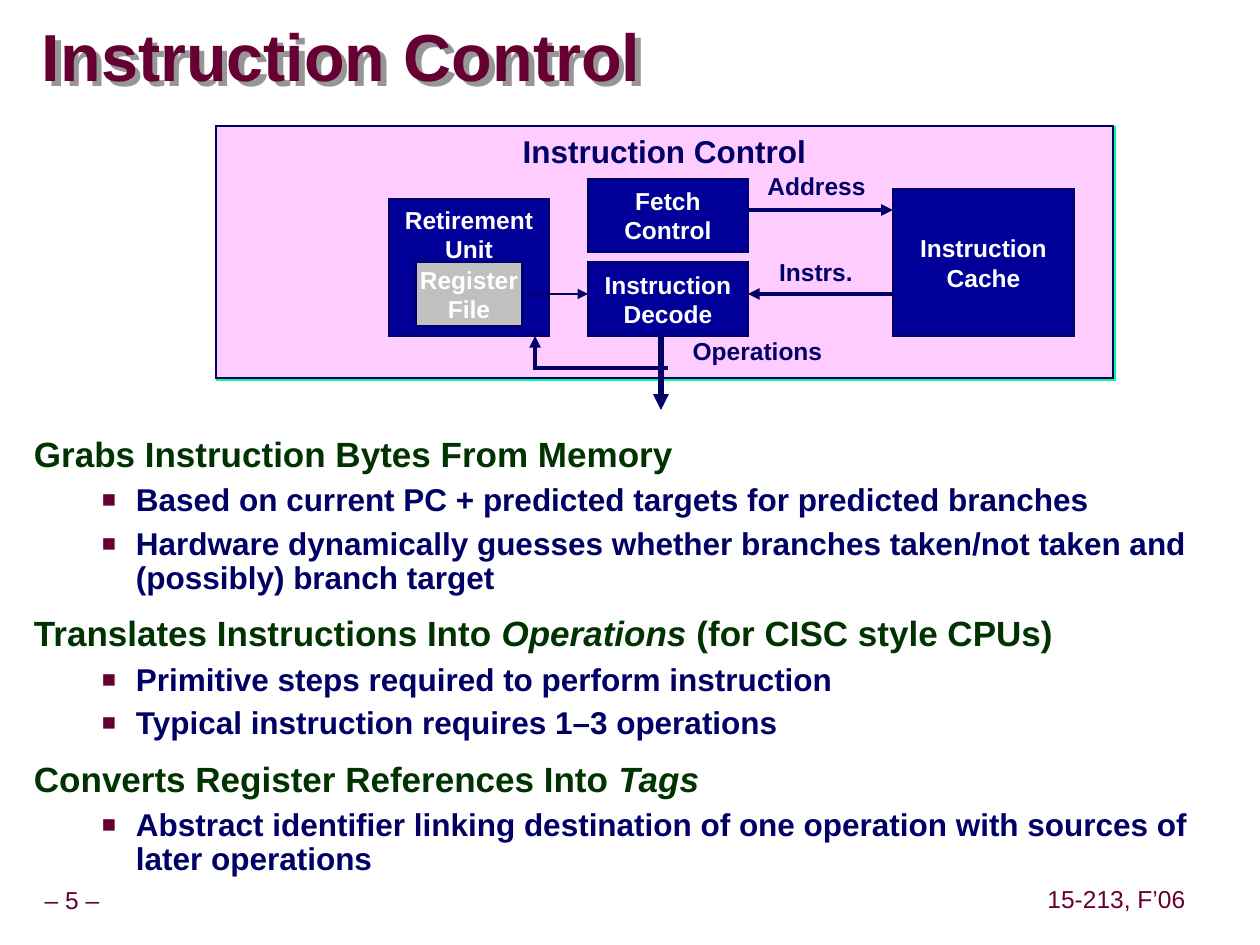
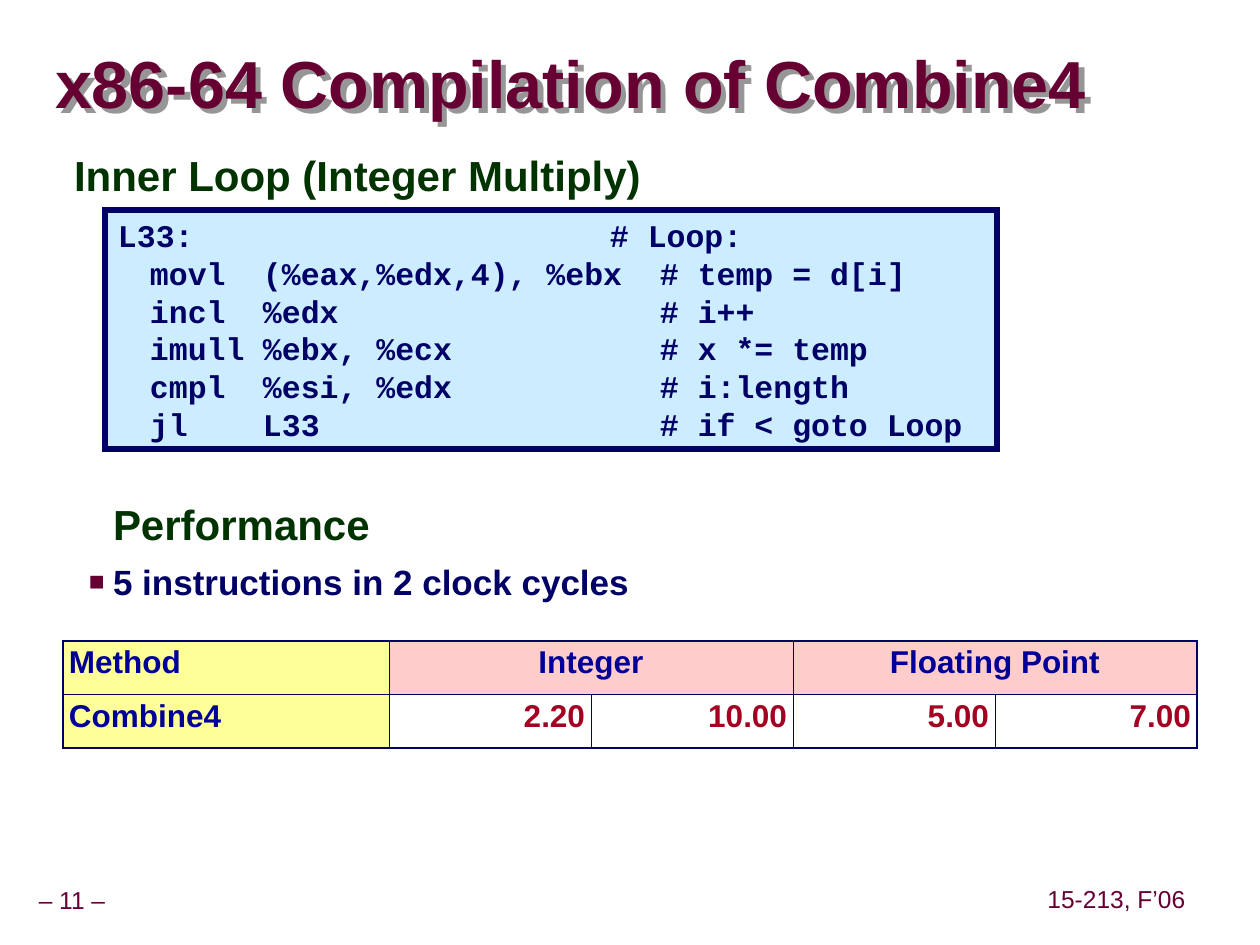
from lxml.etree import SubElement
from pptx import Presentation
from pptx.dml.color import RGBColor
from pptx.enum.shapes import MSO_CONNECTOR as CONN, MSO_SHAPE as SHAPE
from pptx.enum.text import MSO_ANCHOR as ANCHOR, PP_ALIGN as ALIGN
from pptx.oxml.ns import qn
from pptx.util import Pt

PX = 914400 / 126  # EMU in one px
SLIDE_W, SLIDE_H = 1260, 945

MAROON = RGBColor(0x66, 0x00, 0x33)
GREEN = RGBColor(0x00, 0x33, 0x00)
NAVY = RGBColor(0x00, 0x00, 0x66)
BLUE = RGBColor(0x00, 0x00, 0x99)
RED = RGBColor(0xA5, 0x00, 0x21)
WHITE = RGBColor(0xFF, 0xFF, 0xFF)
GRAY = RGBColor(0xC0, 0xC0, 0xC0)
SHADOW_GRAY = RGBColor(0x96, 0x96, 0x96)
PINK = RGBColor(0xFF, 0xCC, 0xFF)
MINT = RGBColor(0x00, 0xFF, 0x99)
SKY = RGBColor(0xCC, 0xEC, 0xFF)
YELLOW = RGBColor(0xFF, 0xFF, 0x99)
ROSE = RGBColor(0xFF, 0xCC, 0xCC)

SANS, MONO = "Arial", "Courier New"
COURSE = "15-213, F’06"


def px(n):
    return round(n * PX)


def emus(box):
    return [px(n) for n in box]


# Text

def style_paragraph(p, size, color, font=SANS, bold=True, align=None):
    p.alignment = align
    for r in p.runs:
        f = r.font
        f.name, f.size, f.bold = font, Pt(size), bold
        f.color.rgb = color


def set_text(tf, text, size, color, font=SANS, bold=True, align=ALIGN.CENTER):
    tf.text = text
    for p in tf.paragraphs:
        style_paragraph(p, size, color, font, bold, align)


def set_frame(tf, anchor=ANCHOR.TOP, margins=(13, 6), wrap=False):
    tf.word_wrap = wrap
    tf.vertical_anchor = anchor
    tf.margin_left = tf.margin_right = px(margins[0])
    tf.margin_top = tf.margin_bottom = px(margins[1])


def add_text_box(slide, box, **frame):
    s = slide.shapes.add_textbox(*emus(box))
    set_frame(s.text_frame, **frame)
    return s


def add_label(slide, text, box):
    tf = add_text_box(slide, box, margins=(0, 6)).text_frame
    set_text(tf, text, 14, NAVY)


def set_indent(p, left, first=0):
    pPr = p._p.get_or_add_pPr()
    pPr.set("marL", str(px(left)))
    pPr.set("indent", str(px(first)))
    return pPr


def add_bullet(pPr):
    clr = SubElement(pPr, qn("a:buClr"))
    SubElement(clr, qn("a:srgbClr"), val=str(MAROON))
    SubElement(pPr, qn("a:buSzPct"), val="75000")
    SubElement(pPr, qn("a:buFont"), typeface=SANS)
    SubElement(pPr, qn("a:buChar"), char="■")


def set_tabs(p, stops):
    tabs = SubElement(p._p.get_or_add_pPr(), qn("a:tabLst"))
    for stop in stops:
        SubElement(tabs, qn("a:tab"), pos=str(px(stop)), algn="l")


def add_outline(tf, items, heading, bullet):
    """Items are (level, text); every second part between bars is italic.

    heading and bullet give size, line spacing, space before, indents.
    """
    for i, (level, text) in enumerate(items):
        p = tf.paragraphs[0] if i == 0 else tf.add_paragraph()
        size, spacing, before, left, first = bullet if level else heading
        for k, part in enumerate(text.split("|")):
            r = p.add_run()
            r.text = part
            r.font.italic = k % 2 == 1
        style_paragraph(p, size, NAVY if level else GREEN)
        p.line_spacing, p.space_before = spacing, Pt(before)
        pPr = set_indent(p, left, first)
        if level:
            add_bullet(pPr)


# Shapes and lines

def add_shadow(s, color, distance):
    s.shadow.inherit = False
    effects = s.element.spPr.find(qn("a:effectLst"))
    shadow = SubElement(effects, qn("a:outerShdw"), dist=str(Pt(distance)),
                        dir="2700000", algn="ctr", rotWithShape="0")
    SubElement(shadow, qn("a:srgbClr"), val=str(color))


def set_line(s, width):
    s.line.color.rgb = NAVY
    s.line.width = Pt(width)
    ln = s.element.spPr.find(qn("a:ln"))
    SubElement(ln, qn("a:miter"), lim="800000")
    return ln


def add_box(slide, box, fill, text="", size=14, color=WHITE, line=0.75,
            anchor=ANCHOR.MIDDLE):
    s = slide.shapes.add_shape(SHAPE.RECTANGLE, *emus(box))
    s.shadow.inherit = False
    s.fill.solid()
    s.fill.fore_color.rgb = fill
    set_line(s, line)
    set_frame(s.text_frame, anchor=anchor)
    set_text(s.text_frame, text, size, color)
    return s


def set_arrow(s, width):
    SubElement(set_line(s, width), qn("a:tailEnd"), type="triangle")


def add_arrow(slide, start, end, width):
    c = slide.shapes.add_connector(CONN.STRAIGHT, *emus(start + end))
    set_arrow(c, width)
    SubElement(c.element.spPr, qn("a:effectLst"))
    return c


def add_bent_arrow(slide, points, width):
    builder = slide.shapes.build_freeform(*points[0], scale=PX)
    builder.add_line_segments(points[1:], close=False)
    s = builder.convert_to_shape()
    s.shadow.inherit = False
    s.fill.background()
    set_arrow(s, width)


# Table

def set_borders(cell, widths):
    tcPr = cell._tc.get_or_add_tcPr()
    for side, width in zip("LRTB", widths):
        ln = SubElement(tcPr, qn(f"a:ln{side}"), w=str(Pt(width)))
        fill = SubElement(ln, qn("a:solidFill"))
        SubElement(fill, qn("a:srgbClr"), val=str(NAVY))


def set_cell(cell, text, color, fill, align):
    cell.margin_left = cell.margin_right = px(6)
    cell.margin_top = cell.margin_bottom = px(6)
    if fill:
        cell.fill.solid()
        cell.fill.fore_color.rgb = fill
    else:
        cell.fill.background()
    set_text(cell.text_frame, text, 18, color, align=align)
    p = cell.text_frame.paragraphs[0]
    p.line_spacing, p.space_before = 0.95, Pt(11.2)


def add_results_table(slide, rows, box, first_col):
    n_rows, n_cols = len(rows), len(rows[0])
    table = slide.shapes.add_table(n_rows, n_cols, *emus(box)).table
    table.first_row = table.horz_banding = False
    for i, col in enumerate(table.columns):
        col.width = px((box[2] - first_col) / (n_cols - 1) if i else first_col)
    for i, row in enumerate(rows):
        # The last header cell spans two columns
        last = n_cols - 1 if i else n_cols - 2
        for j, text in enumerate(row):
            cell = table.cell(i, j)
            outer = (j == 0, j >= last, i == 0, i == n_rows - 1)
            set_borders(cell, [1.08 if edge else 0.45 for edge in outer])
            if j == 0:
                set_cell(cell, text, BLUE, YELLOW, ALIGN.LEFT)
            elif i == 0:
                set_cell(cell, text, BLUE, ROSE, ALIGN.CENTER)
            else:
                set_cell(cell, text, RED, None, ALIGN.RIGHT)
    for j in range(1, n_cols, 2):
        table.cell(0, j).merge(table.cell(0, j + 1))


# Slides

def add_slide(prs, title, title_box, number):
    slide = prs.slides.add_slide(prs.slide_layouts[6])
    footers = ((f"– {number} –", (7, 882, 130, 39)),
               (COURSE, (1041, 881, 151, 39)))
    for text, box in footers:
        s = add_text_box(slide, box, anchor=ANCHOR.MIDDLE, margins=(6, 6))
        set_text(s.text_frame, text, 14, MAROON, bold=False)
        s.text_frame.paragraphs[0].line_spacing = 0.9
    s = add_text_box(slide, title_box, anchor=ANCHOR.MIDDLE, margins=(0, 0),
                     wrap=True)
    set_text(s.text_frame, title, 38, MAROON, align=ALIGN.LEFT)
    s.text_frame.paragraphs[0].line_spacing = 0.87
    add_shadow(s, SHADOW_GRAY, 4.5)
    return slide


def add_control_diagram(slide):
    panel = add_box(slide, (216, 126, 897, 252), PINK, "Instruction Control",
                    18, NAVY, 1.5, ANCHOR.TOP)
    add_shadow(panel, MINT, 1.4)
    # Units
    add_box(slide, (893, 189, 181, 147), BLUE, "Instruction\nCache")
    add_box(slide, (588, 179, 160, 73), BLUE, "Fetch\nControl")
    add_box(slide, (588, 262, 160, 74), BLUE, "Instruction\nDecode")
    add_box(slide, (389, 199, 160, 137), BLUE, "Retirement\nUnit",
            anchor=ANCHOR.TOP)
    registers = add_box(slide, (416, 262, 106, 64), GRAY, "Register\nFile")
    # Data paths
    add_arrow(slide, (748, 210), (893, 210), 2.25)
    add_arrow(slide, (893, 294), (748, 294), 2.25)
    add_arrow(slide, (661, 336), (661, 410), 3)
    read = add_arrow(slide, (522, 294), (588, 294), 0.75)
    read.begin_connect(registers, 3)
    add_bent_arrow(slide, [(668, 368), (535, 368), (535, 336)], 2.25)
    # Path names
    add_label(slide, "Address", (755, 165, 123, 43))
    add_label(slide, "Instrs.", (767, 251, 98, 43))
    add_label(slide, "Operations", (680, 330, 155, 43))


def add_code(slide, lines, box):
    s = add_box(slide, box, SKY, line=3, anchor=ANCHOR.TOP)
    tf = s.text_frame
    tf.word_wrap = True
    set_text(tf, "\n".join(lines), 18, NAVY, MONO, align=ALIGN.LEFT)
    for i, p in enumerate(tf.paragraphs):
        set_tabs(p, (32, 145, 542) if i else (492,))


def main():
    prs = Presentation()
    prs.slide_width, prs.slide_height = px(SLIDE_W), px(SLIDE_H)

    # Instruction control
    slide = add_slide(prs, "Instruction Control", (42, 21, 784, 79), 5)
    tf = add_text_box(slide, (21, 433, 1220, 470), wrap=True).text_frame
    add_outline(tf, [
        (0, "Grabs Instruction Bytes From Memory"),
        (1, "Based on current PC + predicted targets for predicted branches"),
        (1, "Hardware dynamically guesses whether branches taken/not taken "
            "and (possibly) branch target"),
        (0, "Translates Instructions Into |Operations |(for CISC style CPUs)"),
        (1, "Primitive steps required to perform instruction"),
        (1, "Typical instruction requires 1–3 operations"),
        (0, "Converts Register References Into |Tags"),
        (1, "Abstract identifier linking destination of one operation with "
            "sources of later operations"),
    ], heading=(20, 0.85, 12.5, 53, -53), bullet=(18, 0.9, 5.6, 102, -34))
    add_control_diagram(slide)

    # Compiled inner loop
    slide = add_slide(prs, "x86-64 Compilation of Combine4",
                      (55, 34, 1201, 107), 11)
    bullet = (20, 1.0, 6.2, 39, -24)
    tf = add_text_box(slide, (61, 147, 1138, 60), wrap=True).text_frame
    add_outline(tf, [(0, "Inner Loop (Integer Multiply)")],
                heading=(24, 0.95, 15, 0, 0), bullet=bullet)
    add_code(slide, [
        "L33:\t# Loop:",
        "\tmovl\t(%eax,%edx,4), %ebx\t# temp = d[i]",
        "\tincl\t%edx\t# i++",
        "\timull\t%ebx, %ecx\t# x *= temp",
        "\tcmpl\t%esi, %edx\t# i:length",
        "\tjl\tL33\t# if < goto Loop",
    ], (105, 210, 892, 239))
    tf = add_text_box(slide, (61, 496, 1138, 120), wrap=True).text_frame
    add_outline(tf, [(0, "Performance"),
                     (1, "5 instructions in 2 clock cycles")],
                heading=(24, 0.95, 15, 39, 0), bullet=bullet)
    add_results_table(slide, [
        ["Method", "Integer", "", "Floating Point", ""],
        ["Combine4", "2.20", "10.00", "5.00", "7.00"],
    ], (63, 641, 1134, 107), first_col=326)

    prs.save("out.pptx")


if __name__ == "__main__":
    main()
